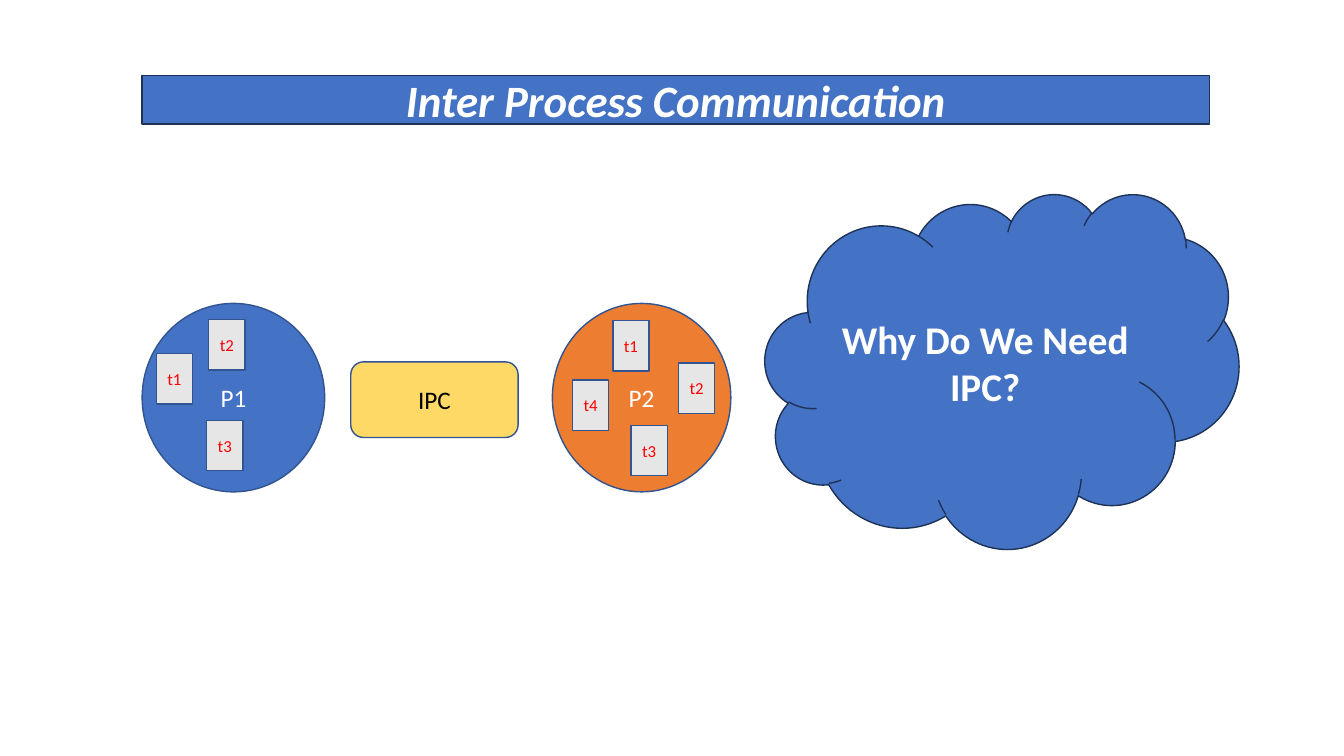
from dataclasses import dataclass

from lxml.etree import SubElement
from pptx import Presentation
from pptx.dml.color import RGBColor as Rgb
from pptx.enum.shapes import MSO_SHAPE as Preset
from pptx.enum.text import MSO_ANCHOR as Anchor, MSO_AUTO_SIZE as AutoSize, PP_ALIGN as Align
from pptx.oxml.ns import qn
from pptx.shapes.autoshape import Shape
from pptx.util import Inches, Pt


@dataclass(frozen=True)
class Theme:
    font: str = "Calibri"
    blue: str = "4472C4"
    orange: str = "ED7D31"
    yellow: str = "FFD966"
    grey: str = "E7E6E6"
    white: str = "FFFFFF"
    black: str = "000000"
    red: str = "FF0000"
    dark_line: str = "1E3256"
    line: str = "325491"
    title_size: int = 32
    question_size: int = 28
    label_size: int = 18
    thread_size: int = 12


THEME = Theme()


@dataclass(frozen=True)
class Area:
    """Left, top, width and height in percent of the slide."""
    left: float
    top: float
    width: float
    height: float


@dataclass(frozen=True)
class Look:
    fill: str
    line: str
    color: str
    size: int
    bold: bool = False
    italic: bool = False


@dataclass(frozen=True)
class Node:
    preset: Preset
    text: str
    area: Area
    look: Look


TITLE_LOOK = Look(THEME.blue, THEME.dark_line, THEME.white, THEME.title_size, True, True)
QUESTION_LOOK = Look(THEME.blue, THEME.dark_line, THEME.white, THEME.question_size, True)
P1_LOOK = Look(THEME.blue, THEME.line, THEME.white, THEME.label_size)
P2_LOOK = Look(THEME.orange, THEME.line, THEME.white, THEME.label_size)
IPC_LOOK = Look(THEME.yellow, THEME.line, THEME.black, THEME.label_size)
THREAD_LOOK = Look(THEME.grey, THEME.line, THEME.red, THEME.thread_size)

QUESTION = Node(Preset.CLOUD, "Why Do We Need IPC?",
                Area(56.93, 25.6, 35.25, 46.93), QUESTION_LOOK)
PROCESSES = [
    Node(Preset.OVAL, "P1", Area(10.58, 40.13, 13.58, 24.93), P1_LOOK),
    Node(Preset.OVAL, "P2", Area(41.1, 40.13, 13.28, 24.93), P2_LOOK),
    Node(Preset.ROUNDED_RECTANGLE, "IPC", Area(26.1, 47.87, 12.45, 10), IPC_LOOK),
]
# Left and top of each thread, in order t1, t2, ...
P1_THREADS = [(11.63, 46.8), (15.53, 42.27), (15.38, 55.6)]
P2_THREADS = [(45.6, 42.4), (50.48, 48), (46.95, 56.27), (42.6, 50.27)]

deck = Presentation()
deck.slide_width, deck.slide_height = Inches(13.33), Inches(7.5)


def place(area: Area) -> tuple[int, int, int, int]:
    across, down = deck.slide_width / 100, deck.slide_height / 100
    return (round(area.left * across), round(area.top * down),
            round(area.width * across), round(area.height * down))


def style(box: Shape, text: str, look: Look) -> None:
    box.shadow.inherit = False
    box.fill.solid()
    box.fill.fore_color.rgb = Rgb.from_string(look.fill)
    box.line.color.rgb = Rgb.from_string(look.line)
    box.line.width = Pt(1)
    frame = box.text_frame
    frame.text = text
    frame.word_wrap = True
    frame.auto_size = AutoSize.NONE
    frame.vertical_anchor = Anchor.MIDDLE
    para = frame.paragraphs[0]
    para.alignment = Align.CENTER
    font = para.font
    font.name, font.size = THEME.font, Pt(look.size)
    font.bold, font.italic = look.bold, look.italic
    font.color.rgb = Rgb.from_string(look.color)


def draw(shapes, node: Node) -> None:
    style(shapes.add_shape(node.preset, *place(node.area)), node.text, node.look)


def draw_threads(shapes, corners: list[tuple[float, float]]) -> None:
    for number, (left, top) in enumerate(corners, start=1):
        draw(shapes, Node(Preset.RECTANGLE, f"t{number}",
                          Area(left, top, 2.7, 6.67), THREAD_LOOK))


def draw_title(title: Shape) -> None:
    title.left, title.top, title.width, title.height = place(Area(10.58, 10, 79.43, 6.4))
    # Rounded outline, directly after the position
    outline = SubElement(title.element.spPr, qn("a:prstGeom"), prst="roundRect")
    SubElement(outline, qn("a:avLst"))
    style(title, "Inter Process Communication", TITLE_LOOK)


def main() -> None:
    page = deck.slides.add_slide(deck.slide_layouts[5])

    # Title bar and question cloud
    draw_title(page.shapes.title)
    draw(page.shapes, QUESTION)

    # Processes joined by IPC, with the threads of P1
    diagram = page.shapes.add_group_shape()
    for node in PROCESSES:
        draw(diagram.shapes, node)
    draw_threads(diagram.shapes, P1_THREADS)

    # Threads of P2
    draw_threads(page.shapes, P2_THREADS)

    deck.save("out.pptx")


if __name__ == "__main__":
    main()
